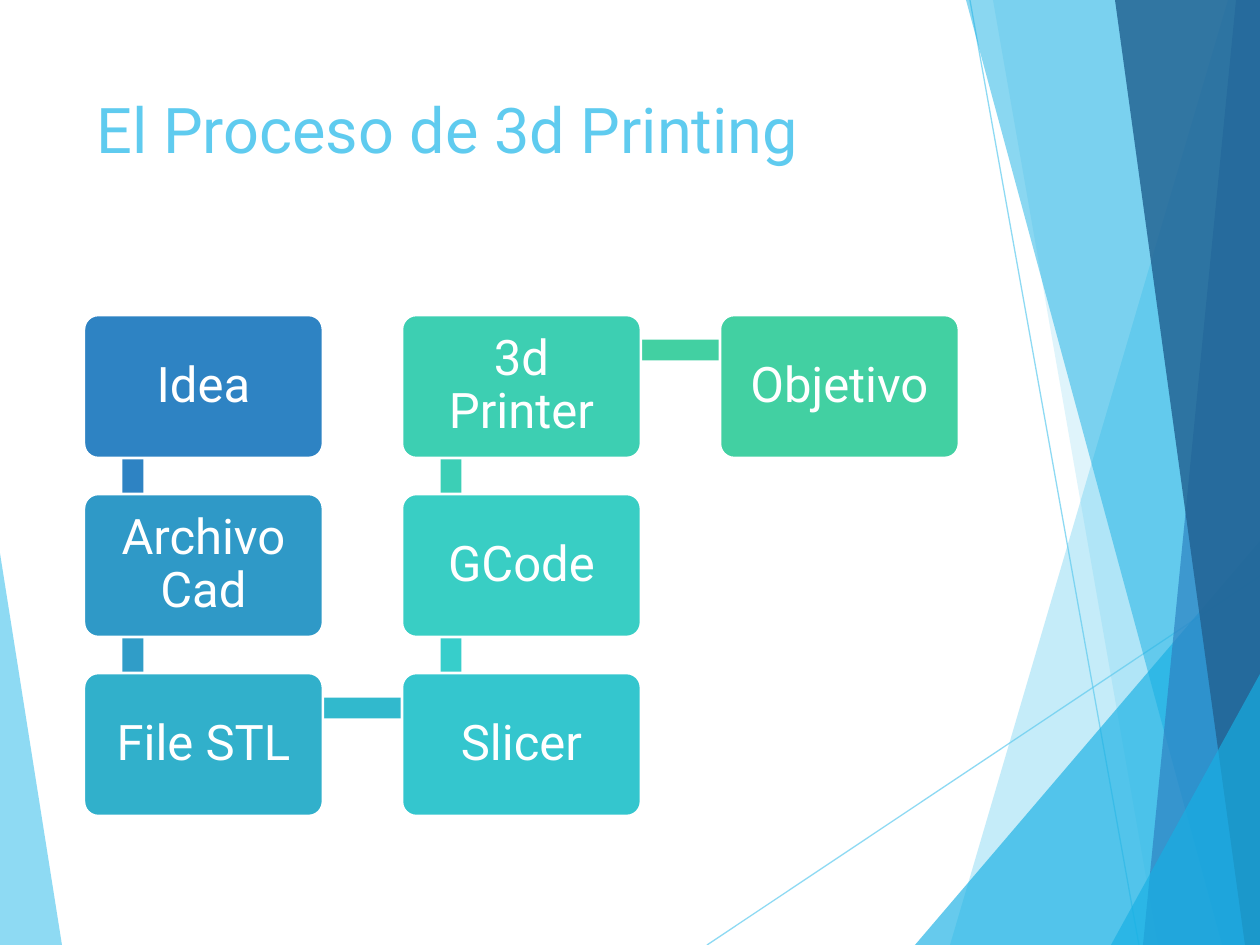
from itertools import zip_longest

from lxml.etree import SubElement
from pptx import Presentation
from pptx.dml.color import RGBColor
from pptx.enum.shapes import MSO_CONNECTOR, MSO_SHAPE
from pptx.enum.text import MSO_ANCHOR, PP_ALIGN
from pptx.oxml.ns import qn
from pptx.util import Emu, Pt

SCALE = 914400 / 126  # EMU per px
W, H = 1260, 945
FONT = "Roboto"

WHITE = RGBColor(0xFF, 0xFF, 0xFF)
SKY = RGBColor(0x5F, 0xCB, 0xEF)
CYAN = RGBColor(0x17, 0xB0, 0xE4)
BLUE = RGBColor(0x2E, 0x83, 0xC3)
NAVY = RGBColor(0x22, 0x62, 0x92)

# Background facets: corner points, colour, opacity in percent
FACETS = [
    ([(1228, 0), (950, H), (W, H), (W, 0)], SKY, 36),
    ([(993, 0), (1158, H), (W, H), (W, 0)], SKY, 20),
    ([(915, H), (W, 541), (W, H)], CYAN, 66),
    ([(966, 0), (1222, H), (W, H), (W, 0)], CYAN, 50),
    ([(1236, 0), (1143, H), (W, H), (W, 0)], BLUE, 70),
    ([(1115, 0), (1245, H), (W, H), (W, 0)], NAVY, 82),
    ([(1111, H), (W, 674), (W, H)], CYAN, 66),
]
LEFT_FACET = [(0, 553), (62, H), (0, H)]
RAYS = [(707, H, W, 576), (970, 0, 1139, H)]

# Process steps: label, column, row, box colour
STEPS = [
    ("Idea", 0, 0, BLUE),
    ("Archivo Cad", 0, 1, RGBColor(0x2F, 0x99, 0xC7)),
    ("File STL", 0, 2, RGBColor(0x31, 0xB0, 0xCB)),
    ("Slicer", 1, 2, RGBColor(0x34, 0xC6, 0xCE)),
    ("GCode", 1, 1, RGBColor(0x39, 0xCE, 0xC4)),
    ("3d Printer", 1, 0, RGBColor(0x3D, 0xCF, 0xB2)),
    ("Objetivo", 2, 0, RGBColor(0x42, 0xD0, 0xA2)),
]
# Bars, each leading from one step to the next
BAR_COLORS = [
    BLUE,
    RGBColor(0x30, 0x9D, 0xC8),
    RGBColor(0x31, 0xB9, 0xCD),
    RGBColor(0x37, 0xCE, 0xCB),
    RGBColor(0x3C, 0xCF, 0xB6),
    RGBColor(0x42, 0xD0, 0xA2),
]
GRID_X, GRID_Y, STEP_X, STEP_Y = 84, 315, 318, 179
BOX_W, BOX_H = 239, 143
ANCHOR_X, ANCHOR_Y, BAR = 49, 35, 21  # bar ends inside a box, bar thickness


def px(*values):
    return [Emu(round(v * SCALE)) for v in values]


def set_alpha(s, percent):
    for color in s._element.spPr.iter(qn("a:srgbClr")):
        SubElement(color, qn("a:alpha")).set("val", str(percent * 1000))


def fill_shape(s, color):
    s.shadow.inherit = False
    s.fill.solid()
    s.fill.fore_color.rgb = color
    s.line.fill.background()


def add_facet(slide, points, color, opacity):
    builder = slide.shapes.build_freeform(*points[0], scale=SCALE)
    builder.add_line_segments(points[1:], close=True)
    s = builder.convert_to_shape()
    fill_shape(s, color)
    set_alpha(s, opacity)


def add_ray(slide, ends):
    s = slide.shapes.add_connector(MSO_CONNECTOR.STRAIGHT, *px(*ends))
    s.line.color.rgb = SKY
    s.line.width = Pt(0.75)
    set_alpha(s, 70)
    SubElement(s._element.spPr, qn("a:effectLst"))


def write(tf, text, size, color):
    tf.word_wrap = True
    tf.text = text
    p = tf.paragraphs[0]
    font = p.runs[0].font
    font.name, font.size, font.color.rgb = FONT, Pt(size), color
    return p


def add_title(slide, text):
    s = slide.shapes.add_textbox(*px(84, 84, 874, 181))
    write(s.text_frame, text, 36, SKY)


def box_origin(col, row):
    return GRID_X + col * STEP_X, GRID_Y + row * STEP_Y


def add_bar(slide, start, end, color):
    (x1, y1), (x2, y2) = box_origin(*start), box_origin(*end)
    left, top = min(x1, x2) + ANCHOR_X, min(y1, y2) + ANCHOR_Y
    if x1 == x2:
        frame = left - BAR / 2, top, BAR, abs(y2 - y1)
    else:
        frame = left, top - BAR / 2, abs(x2 - x1), BAR
    fill_shape(slide.shapes.add_shape(MSO_SHAPE.RECTANGLE, *px(*frame)), color)


def add_box(slide, text, col, row, color):
    frame = px(*box_origin(col, row), BOX_W, BOX_H)
    s = slide.shapes.add_shape(MSO_SHAPE.ROUNDED_RECTANGLE, *frame)
    s.adjustments[0] = 0.1
    fill_shape(s, color)
    s.line.color.rgb = WHITE
    s.line.width = Pt(1.5)
    tf = s.text_frame
    tf.vertical_anchor = MSO_ANCHOR.MIDDLE
    tf.margin_left, tf.margin_top, tf.margin_right, tf.margin_bottom = px(15, 15, 15, 15)
    p = write(tf, text, 28, WHITE)
    p.alignment = PP_ALIGN.CENTER
    p.line_spacing = 0.9


def main():
    prs = Presentation()
    prs.slide_width, prs.slide_height = px(W, H)
    slide = prs.slides.add_slide(prs.slide_layouts[6])

    # Background
    add_facet(slide, LEFT_FACET, SKY, 70)
    for ends in RAYS:
        add_ray(slide, ends)
    for facet in FACETS:
        add_facet(slide, *facet)

    add_title(slide, "El Proceso de 3d Printing")

    # Process: each bar lies beneath the two boxes it joins
    for step, following, bar_color in zip_longest(STEPS, STEPS[1:], BAR_COLORS):
        if following:
            add_bar(slide, step[1:3], following[1:3], bar_color)
        add_box(slide, *step)

    prs.save("out.pptx")


if __name__ == "__main__":
    main()
